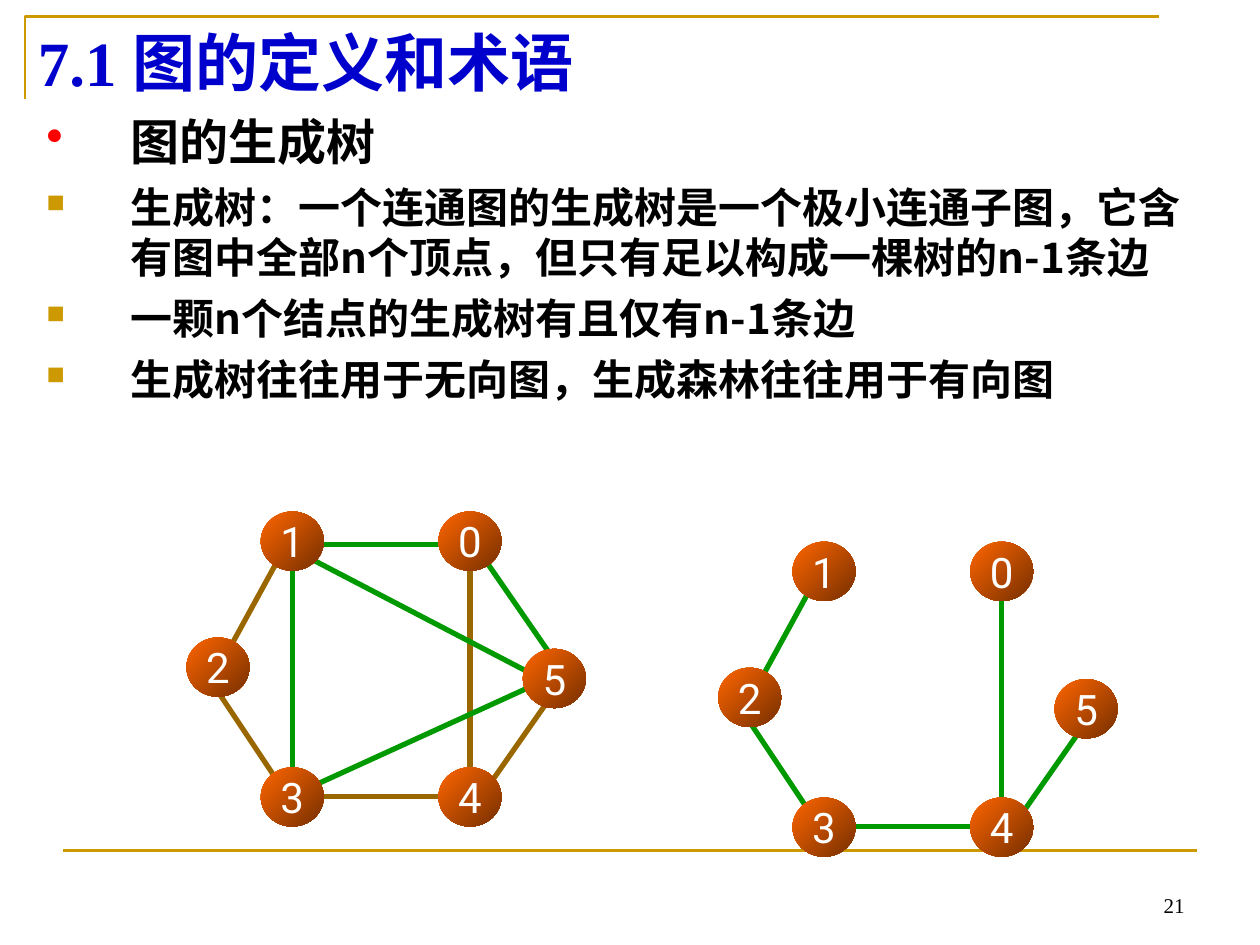
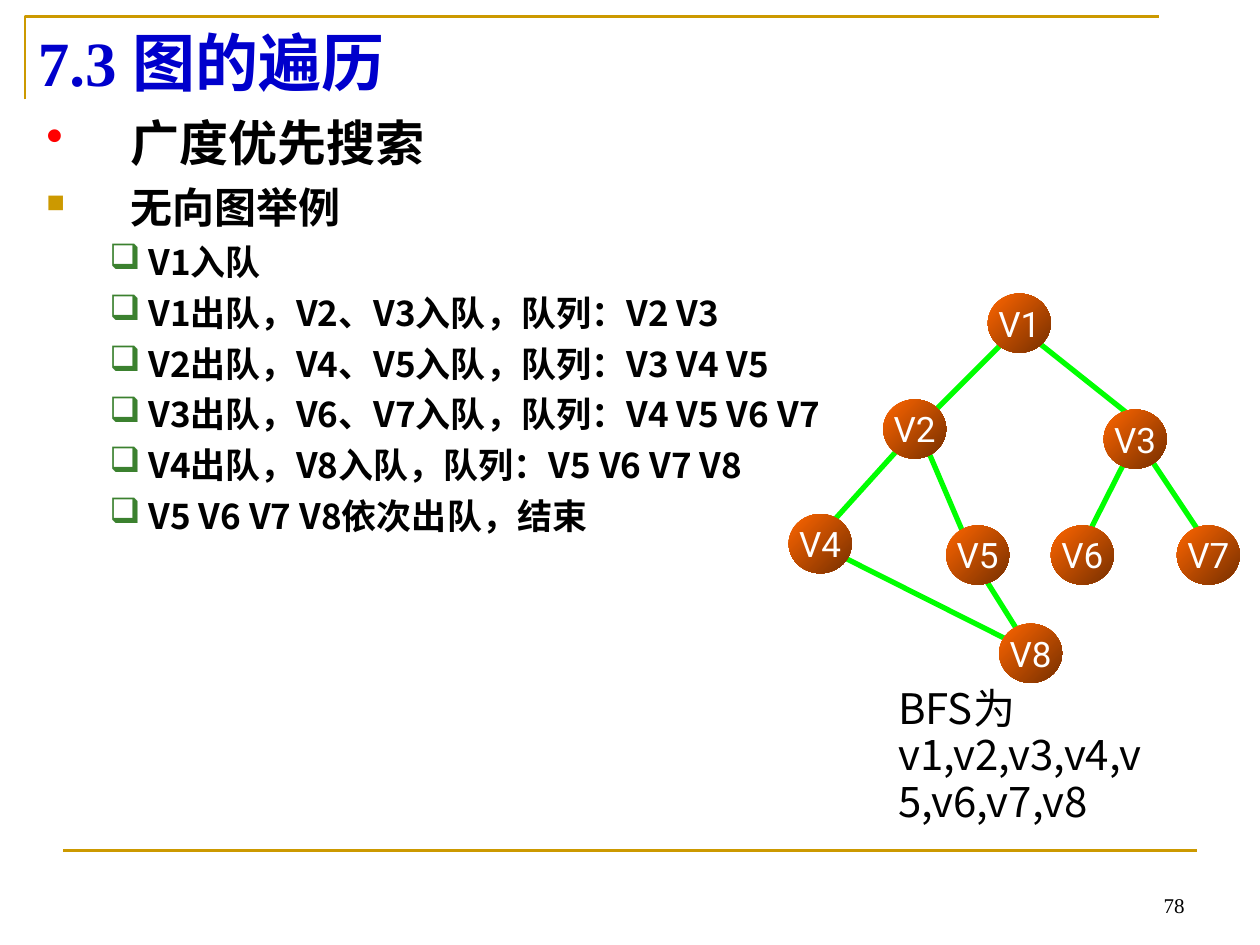
"""Build two lecture slides on spanning trees and breadth-first search."""
from dataclasses import dataclass

from lxml import etree
from pptx import Presentation
from pptx.dml.color import RGBColor
from pptx.enum.shapes import MSO_CONNECTOR, MSO_SHAPE
from pptx.enum.text import MSO_ANCHOR, MSO_AUTO_SIZE, PP_ALIGN
from pptx.oxml.ns import qn
from pptx.util import Inches, Pt

STRAIGHT = MSO_CONNECTOR.STRAIGHT
OVAL = MSO_SHAPE.OVAL
TOP, MIDDLE, BOTTOM = MSO_ANCHOR.TOP, MSO_ANCHOR.MIDDLE, MSO_ANCHOR.BOTTOM
LEFT, CENTER, RIGHT = PP_ALIGN.LEFT, PP_ALIGN.CENTER, PP_ALIGN.RIGHT
NO_FIT = MSO_AUTO_SIZE.NONE

GOLD = RGBColor(0xCC, 0x99, 0x00)
BLUE = RGBColor(0x00, 0x00, 0xCC)
BLACK = RGBColor(0x00, 0x00, 0x00)
WHITE = RGBColor(0xFF, 0xFF, 0xFF)
RED = RGBColor(0xFF, 0x00, 0x00)
MOSS = RGBColor(0x3B, 0x81, 0x2F)
GREEN = RGBColor(0x00, 0x99, 0x00)
LIME = RGBColor(0x00, 0xFF, 0x00)
BROWN = RGBColor(0x99, 0x66, 0x00)
ORANGE = RGBColor(0xFF, 0x66, 0x00)
RUST = RGBColor(0x76, 0x2F, 0x00)

SERIF, SANS, LABEL = "Times New Roman", "Noto Sans CJK SC", "Roboto"
NODE_W, NODE_H = 0.5, 0.47
LEADING = 1.2


@dataclass(frozen=True)
class Style:
    """Format of one kind of text."""
    size: int
    name: str
    color: RGBColor
    bold: bool = False


@dataclass(frozen=True)
class Level:
    """Bullet and spacing of one kind of body paragraph."""
    mark: str
    color: RGBColor
    scale: int
    size: int
    before: int
    margin: float
    hang: float
    depth: int = 0


@dataclass(frozen=True)
class Edge:
    """A line between two named nodes."""
    ends: str
    x1: float
    y1: float
    x2: float
    y2: float


HEAD = Style(36, SERIF, BLUE, True)
PAGE = Style(12, SERIF, BLACK)
NOTE = Style(24, SANS, BLACK)

TOPIC = Level("•", RED, 100, 28, 7, 0.67, -0.67)
POINT = Level("■", GOLD, 60, 24, 6, 0.67, -0.67)
STEP = Level("❑", MOSS, 100, 20, 5, 0.81, -0.31, 1)

RING = {"1": (2.07, 4.06), "3": (2.07, 6.09), "2": (1.48, 5.06),
        "5": (4.15, 5.15), "4": (3.48, 6.09), "0": (3.48, 4.06)}
LINKS = [
    Edge("01", 3.57, 4.32, 2.57, 4.32),
    Edge("04", 3.73, 4.49, 3.73, 6.15),
    Edge("05", 3.82, 4.4, 4.4, 5.24),
    Edge("12", 2.23, 4.4, 1.82, 5.15),
    Edge("13", 2.32, 6.24, 2.32, 4.49),
    Edge("15", 4.32, 5.4, 2.4, 4.4),
    Edge("23", 2.23, 6.24, 1.73, 5.49),
    Edge("34", 3.65, 6.32, 2.4, 6.32),
    Edge("35", 4.32, 5.4, 2.48, 6.24),
    Edge("45", 4.4, 5.49, 3.82, 6.32),
]
TREE = {"04", "12", "23", "34", "45"}
SHIFT = (4.22, 0.24)

SPOTS = {"V1": (7.84, 2.33), "V3": (8.76, 3.25), "V2": (7.01, 3.17),
         "V5": (7.51, 4.17), "V4": (6.26, 4.08), "V6": (8.34, 4.17),
         "V7": (9.34, 4.17), "V8": (7.93, 4.95)}
PATHS = [
    Edge("24", 7.26, 3.42, 6.51, 4.25),
    Edge("12", 8.01, 2.67, 7.26, 3.42),
    Edge("25", 7.76, 4.5, 7.26, 3.33),
    Edge("48", 8.18, 5.17, 6.51, 4.33),
    Edge("58", 8.18, 5.17, 7.76, 4.5),
    Edge("13", 8.18, 2.67, 9.01, 3.33),
    Edge("36", 9.01, 3.5, 8.59, 4.33),
    Edge("37", 9.09, 3.58, 9.59, 4.33),
]

TREE_TEXT = [
    (TOPIC, "图的生成树"),
    (POINT, "生成树：一个连通图的生成树是一个极小连通子图，它含有图中全部n个顶点，"
            "但只有足以构成一棵树的n-1条边"),
    (POINT, "一颗n个结点的生成树有且仅有n-1条边"),
    (POINT, "生成树往往用于无向图，生成森林往往用于有向图"),
]
BFS_TEXT = [
    (TOPIC, "广度优先搜索"),
    (POINT, "无向图举例"),
    (STEP, "V1入队"),
    (STEP, "V1出队，V2、V3入队，队列：V2 V3"),
    (STEP, "V2出队，V4、V5入队，队列：V3 V4 V5"),
    (STEP, "V3出队，V6、V7入队，队列：V4 V5 V6 V7"),
    (STEP, "V4出队，V8入队，队列：V5 V6 V7 V8"),
    (STEP, "V5 V6 V7 V8依次出队，结束"),
]


def write(para, text: str, style: Style, align=LEFT) -> None:
    """Put one styled run into a paragraph."""
    para.alignment = align
    run = para.add_run()
    run.text = text
    form = {"size": Pt(style.size), "name": style.name, "bold": style.bold}
    for key, value in form.items():
        setattr(run.font, key, value)
    run.font.color.rgb = style.color
    east = etree.SubElement(run.font._element, qn("a:ea"))
    east.set("typeface", SANS)


def setup(frame, anchor=TOP, wrap: bool = True, side: float = 0.1) -> None:
    """Set wrapping, anchor and margins of a text frame."""
    form = {"word_wrap": wrap, "auto_size": NO_FIT, "vertical_anchor": anchor,
            "margin_left": Inches(side), "margin_right": Inches(side),
            "margin_top": Inches(0.05), "margin_bottom": Inches(0.05)}
    for key, value in form.items():
        setattr(frame, key, value)


def add_box(slide, x: float, y: float, w: float, h: float, anchor=TOP):
    """Add a wrapped text box and return its frame."""
    box = slide.shapes.add_textbox(Inches(x), Inches(y), Inches(w), Inches(h))
    setup(box.text_frame, anchor)
    return box.text_frame


def indent(para, margin: float, hang: float):
    """Set the indents of a paragraph and return its properties."""
    props = para._p.get_or_add_pPr()
    props.set("marL", str(Inches(margin)))
    props.set("indent", str(Inches(hang)))
    return props


def add_line(shapes, x1: float, y1: float, x2: float, y2: float,
             color: RGBColor, width: float) -> None:
    """Draw a straight line without a shadow."""
    line = shapes.add_connector(STRAIGHT, Inches(x1), Inches(y1),
                                Inches(x2), Inches(y2))
    line.line.color.rgb = color
    line.line.width = Pt(width)
    etree.SubElement(line._element.spPr, qn("a:effectLst"))


def add_node(shapes, name: str, x: float, y: float, size: int) -> None:
    """Draw one labelled graph node."""
    node = shapes.add_shape(OVAL, Inches(x), Inches(y),
                            Inches(NODE_W), Inches(NODE_H))
    node.shadow.inherit = False
    node.line.fill.background()
    node.fill.gradient()
    node.fill.gradient_angle = 315
    for stop, color, place in zip(node.fill.gradient_stops, (ORANGE, RUST), (0, 1)):
        stop.color.rgb = color
        stop.position = place
    setup(node.text_frame, MIDDLE, wrap=False, side=0)
    write(node.text_frame.paragraphs[0], name, Style(size, LABEL, WHITE), CENTER)


def add_graph(slide, nodes: dict, edges: list, colors: dict, size: int,
              shift: tuple = (0, 0)) -> None:
    """Draw a grouped graph with its edges below its nodes."""
    shapes = slide.shapes.add_group_shape().shapes
    dx, dy = shift
    for edge in edges:
        add_line(shapes, edge.x1 + dx, edge.y1 + dy, edge.x2 + dx, edge.y2 + dy,
                 colors[edge.ends], 3)
    for name, (x, y) in nodes.items():
        add_node(shapes, name, x + dx, y + dy, size)


def add_body(slide, items: list, width: float, height: float) -> None:
    """Write the bulleted body text."""
    frame = add_box(slide, 0.27, 0.84, width, height)
    for index, (level, text) in enumerate(items):
        para = frame.add_paragraph() if index else frame.paragraphs[0]
        props = indent(para, level.margin, level.hang)
        tint = etree.SubElement(props, qn("a:buClr"))
        etree.SubElement(tint, qn("a:srgbClr")).set("val", str(level.color))
        scale = etree.SubElement(props, qn("a:buSzPct"))
        scale.set("val", str(level.scale * 1000))
        etree.SubElement(props, qn("a:buChar")).set("char", level.mark)
        para.level = level.depth
        para.line_spacing = Pt(level.size * LEADING)
        para.space_before = Pt(level.before if index else 0)
        write(para, text, Style(level.size, SANS, BLACK, True))


def add_slide(deck, title: str, number: int):
    """Add a slide with its frame lines, title and page number."""
    slide = deck.slides.add_slide(deck.slide_layouts[5])
    pen = slide.shapes.build_freeform(Inches(0.2), Inches(0.79))
    pen.add_line_segments([(Inches(0.2), Inches(0.13)),
                           (Inches(9.2), Inches(0.13))], close=False)
    corner = pen.convert_to_shape()
    corner.shadow.inherit = False
    corner.fill.background()
    corner.line.color.rgb = GOLD
    corner.line.width = Pt(1.5)
    add_line(slide.shapes, 0.5, 6.75, 9.5, 6.75, GOLD, 1.5)

    head = slide.shapes.title
    place = {"left": 0.2, "top": 0.13, "width": 9, "height": 0.71}
    for key, value in place.items():
        setattr(head, key, Inches(value))
    setup(head.text_frame, MIDDLE)
    write(head.text_frame.paragraphs[0], title, HEAD)

    page = add_box(slide, 7.17, 6.83, 2.33, 0.5, BOTTOM)
    write(page.paragraphs[0], str(number), PAGE, RIGHT)
    return slide


def tree_slide(deck) -> None:
    """Show a connected graph beside its spanning tree."""
    slide = add_slide(deck, "7.1 图的定义和术语", 21)
    add_body(slide, TREE_TEXT, 9.45, 3.23)
    colors = {edge.ends: BROWN if edge.ends in TREE else GREEN for edge in LINKS}
    add_graph(slide, RING, LINKS, colors, 24)
    kept = [edge for edge in LINKS if edge.ends in TREE]
    add_graph(slide, RING, kept, dict.fromkeys(TREE, GREEN), 24, SHIFT)


def bfs_slide(deck) -> None:
    """Show the queue steps of a breadth-first search."""
    slide = add_slide(deck, "7.3 图的遍历", 78)
    add_body(slide, BFS_TEXT, 9.06, 5.51)
    add_graph(slide, SPOTS, PATHS, {edge.ends: LIME for edge in PATHS}, 20)
    para = add_box(slide, 6.65, 5.4, 2.6, 1.26).paragraphs[0]
    indent(para, 0.38, 0)
    para.line_spacing = Pt(26.5)
    write(para, "BFS为v1,v2,v3,v4,v5,v6,v7,v8", NOTE)


def main() -> None:
    """Build and save the deck."""
    deck = Presentation()
    deck.slide_width, deck.slide_height = Inches(10), Inches(7.5)
    tree_slide(deck)
    bfs_slide(deck)
    deck.save("out.pptx")


if __name__ == "__main__":
    main()
